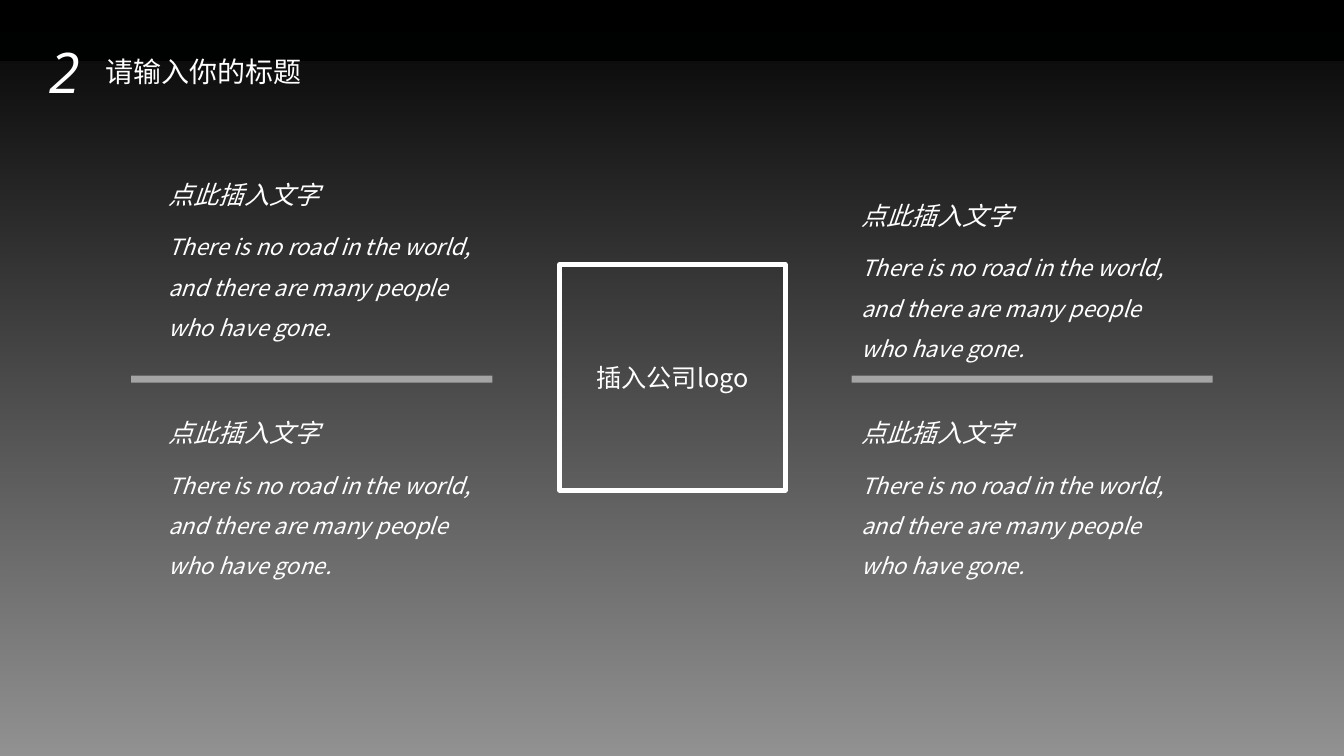
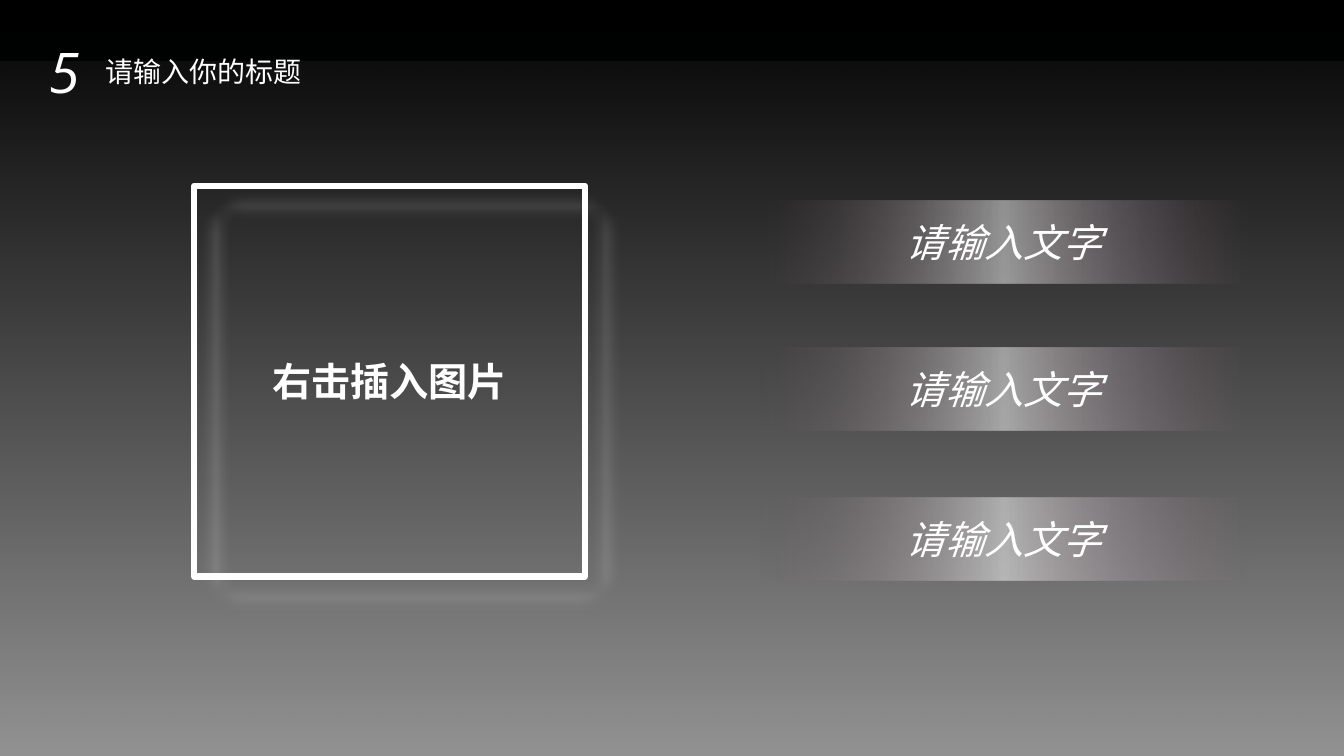
from pptx import Presentation
from pptx.dml.color import RGBColor
from pptx.enum.shapes import MSO_CONNECTOR, MSO_SHAPE
from pptx.enum.text import MSO_ANCHOR, MSO_AUTO_SIZE, PP_ALIGN
from pptx.oxml import parse_xml
from pptx.oxml.ns import nsdecls, qn
from pptx.util import Pt

RECT, STRAIGHT = MSO_SHAPE.RECTANGLE, MSO_CONNECTOR.STRAIGHT
LEFT, CENTER = PP_ALIGN.LEFT, PP_ALIGN.CENTER
TOP, MIDDLE = MSO_ANCHOR.TOP, MSO_ANCHOR.MIDDLE
GROW = MSO_AUTO_SIZE.SHAPE_TO_FIT_TEXT

EMU_PER_PX = 9525
WIDTH, HEIGHT = 1280, 720
COLORS = {"white": "FFFFFF", "black": "000000", "band": "152022",
          "plum": "664A59", "mauve": "997086"}
CJK, LATIN = "Noto Sans CJK SC", "Open Sans"
TITLE_ONLY = 5

# Gradient stops: position, colour, opacity (percent)
VEIL = [(0, "black", 100), (100, "black", 43)]
GLOW = [(0, "plum", 0), (50, "white", 49), (100, "mauve", 0)]


def px(*lengths):
    return [length * EMU_PER_PX for length in lengths]


def rgb(name):
    return RGBColor.from_string(COLORS[name])


class Deck:
    def __init__(self):
        self.prs = Presentation()
        self.prs.slide_width, self.prs.slide_height = px(WIDTH, HEIGHT)
        self.slide = None

    def new_slide(self, number, title):
        layout = self.prs.slide_layouts[TITLE_ONLY]
        self.slide = self.prs.slides.add_slide(layout)
        self.text(number, 37, 31, 54, 74, size=40, font=LATIN,
                  italic=True, wrap=False)
        heading = self.slide.shapes.title
        heading.left, heading.top, heading.width, heading.height = px(
            91, 47, 208, 42)
        self.fill_text(heading, title, 20, wrap=False)

    def backdrop(self):
        """Draw the shared band and veil, then move them to the master."""
        band = self.box(0, 0, WIDTH, 58, fill="band")
        veil = self.box(0, 0, WIDTH, HEIGHT, gradient=VEIL, angle=90)
        master_tree = self.prs.slide_master.shapes.element
        for index, part in enumerate((band, veil)):
            part.element.nvSpPr.cNvPr.set("id", str(101 + index))
            master_tree.insert(2 + index, part.element)

    def fill_text(self, shape, text, size, font=CJK, bold=False, italic=False,
                  align=LEFT, anchor=TOP, spacing=None, wrap=True, fit=GROW):
        frame = shape.text_frame
        frame.word_wrap = wrap
        frame.auto_size = fit
        frame.vertical_anchor = anchor
        paragraph = frame.paragraphs[0]
        paragraph.text = text
        paragraph.alignment = align
        if spacing:
            paragraph.line_spacing = spacing
        style = paragraph.font
        style.name, style.size = font, Pt(size)
        style.bold, style.italic = bold, italic
        style.color.rgb = rgb("white")
        defaults = paragraph._p.pPr.find(qn("a:defRPr"))
        defaults.append(parse_xml(
            f'<a:ea {nsdecls("a")} typeface="{font}"/>'))

    def text(self, text, x, y, w, h, **style):
        box = self.slide.shapes.add_textbox(*px(x, y, w, h))
        self.fill_text(box, text, **style)

    def box(self, x, y, w, h, fill=None, gradient=None, angle=0,
            outline=None, soft_edge=None):
        shape = self.slide.shapes.add_shape(RECT, *px(x, y, w, h))
        shape.shadow.inherit = False
        properties = shape.element.spPr
        if fill:
            shape.fill.solid()
            shape.fill.fore_color.rgb = rgb(fill)
        else:
            shape.fill.background()
        if gradient:
            stops = "".join(
                f'<a:gs pos="{position * 1000}"><a:srgbClr val="{COLORS[color]}">'
                f'<a:alpha val="{opacity * 1000}"/></a:srgbClr></a:gs>'
                for position, color, opacity in gradient)
            properties.replace(properties.find(qn("a:noFill")), parse_xml(
                f'<a:gradFill {nsdecls("a")} rotWithShape="1">'
                f'<a:gsLst>{stops}</a:gsLst>'
                f'<a:lin ang="{angle * 60000}" scaled="0"/></a:gradFill>'))
        if outline:
            shape.line.color.rgb = rgb("white")
            shape.line.width = Pt(outline)
        else:
            shape.line.fill.background()
        if soft_edge:
            properties.find(qn("a:effectLst")).append(parse_xml(
                f'<a:softEdge {nsdecls("a")} rad="{Pt(soft_edge)}"/>'))
        return shape

    def rule(self, x, y, length):
        line = self.slide.shapes.add_connector(
            STRAIGHT, *px(x, y, x + length, y))
        line.line.color.rgb = rgb("white")
        line.line.width = Pt(5)
        properties = line.line._get_or_add_ln().getparent()
        color = properties.find(".//" + qn("a:srgbClr"))
        color.append(parse_xml(f'<a:alpha {nsdecls("a")} val="50000"/>'))
        properties.append(parse_xml(f'<a:effectLst {nsdecls("a")}/>'))
        return line

    def group(self, parts):
        self.slide.shapes.add_group_shape(shapes=parts)

    def note(self, x, y, heading, body):
        self.text(heading, x, y, 318, 38, size=18, italic=True)
        self.text(body, x, y + 39, 318, 122, size=16, italic=True,
                  spacing=1.5)


def build_logo_slide(deck):
    deck.new_slide("2", "请输入你的标题")
    deck.backdrop()

    # Central square between two rules
    logo = deck.box(533, 252, 215, 215, outline=3.25)
    deck.fill_text(logo, "插入公司logo", 18, align=CENTER, anchor=MIDDLE,
                   fit=None)
    deck.group([deck.rule(x, 361, 344) for x in (125, 811)])

    # Four notes, above and below the rules
    for x, y in ((151, 166), (811, 186), (151, 393), (811, 393)):
        deck.note(x, y, "点此插入文字",
                  "There is no road in the world, and there are many "
                  "people who have gone.")


def build_picture_slide(deck):
    deck.new_slide("5", "请输入你的标题")

    # Frame with a blurred echo behind it
    echo = deck.box(205, 196, 372, 372, outline=30, soft_edge=12.5)
    frame = deck.box(185, 177, 372, 372, outline=4.5)
    deck.fill_text(frame, "右击插入图片", 28, bold=True, align=CENTER,
                   anchor=MIDDLE, fit=None)
    deck.group([echo, frame])

    # Glowing captions
    for y in (191, 331, 474):
        deck.box(722, y, 468, 79, gradient=GLOW)
        deck.text("请输入文字", 852, y + 12, 208, 55, size=28, italic=True,
                  align=CENTER, wrap=False)


def main():
    deck = Deck()
    build_logo_slide(deck)
    build_picture_slide(deck)
    deck.prs.save("out.pptx")


if __name__ == "__main__":
    main()
